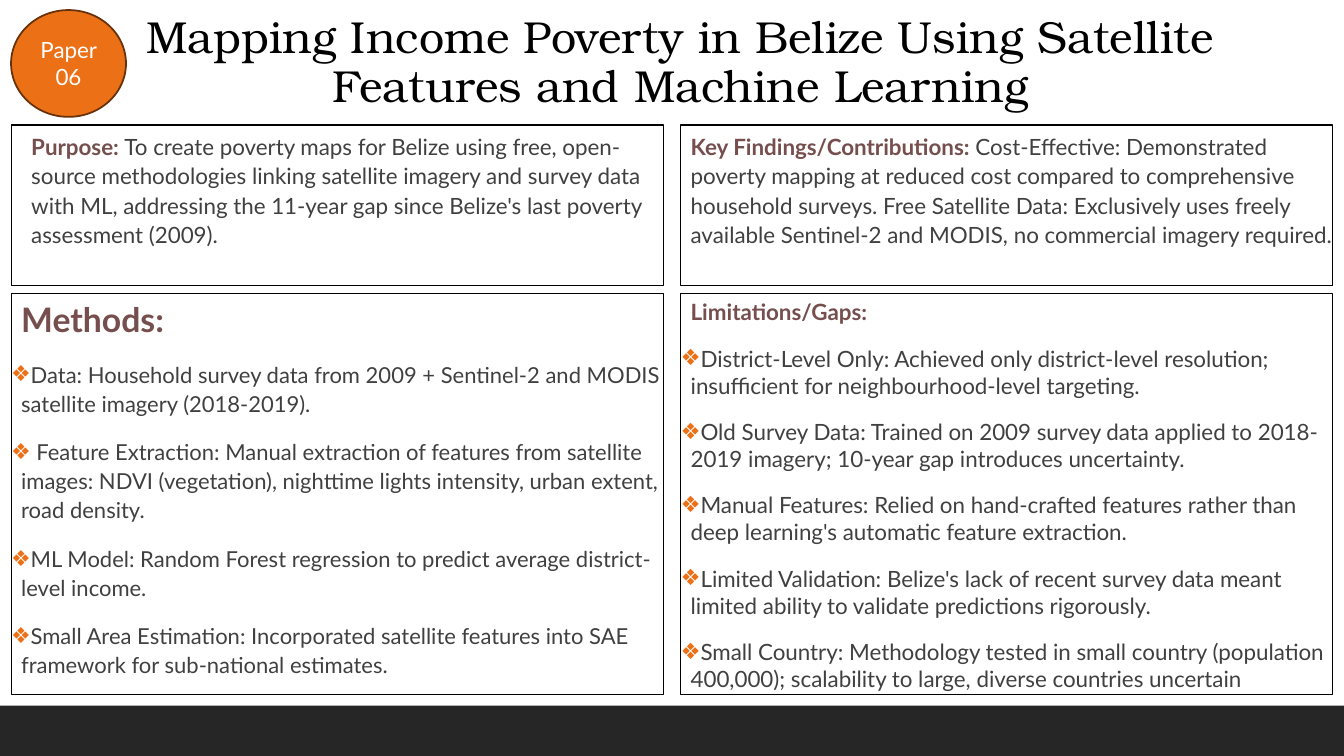
import pptx
import pptx.dml.color
import pptx.enum.shapes
import pptx.enum.text
import pptx.util
from lxml import etree
from pptx.oxml.ns import qn

Inches = pptx.util.Inches
Pt = pptx.util.Pt
RGBColor = pptx.dml.color.RGBColor
MSO_SHAPE = pptx.enum.shapes.MSO_SHAPE
MSO_ANCHOR = pptx.enum.text.MSO_ANCHOR
PP_ALIGN = pptx.enum.text.PP_ALIGN

BLACK = RGBColor(0x00, 0x00, 0x00)
WHITE = RGBColor(0xFF, 0xFF, 0xFF)
ORANGE = RGBColor(0xEC, 0x70, 0x16)
DARK_ORANGE = RGBColor(0x67, 0x31, 0x0A)
BROWN = RGBColor(0x76, 0x4E, 0x4E)
GREY = RGBColor(0x40, 0x40, 0x40)
CHARCOAL = RGBColor(0x26, 0x26, 0x26)

LEFT, RIGHT = 0.11, 6.75
PANEL_WIDTH = 6.47
TOP_ROW = (1.24, 1.59)
BOTTOM_ROW = (2.91, 3.98)

METHODS = [
    "Data: Household survey data from 2009 + Sentinel-2 and MODIS satellite imagery (2018-2019).",
    " Feature Extraction: Manual extraction of features from satellite images: NDVI (vegetation), "
    "nighttime lights intensity, urban extent, road density.",
    "ML Model: Random Forest regression to predict average district-level income.",
    "Small Area Estimation: Incorporated satellite features into SAE framework for sub-national estimates.",
]
LIMITATIONS = [
    "District-Level Only: Achieved only district-level resolution; insufficient for "
    "neighbourhood-level targeting.",
    "Old Survey Data: Trained on 2009 survey data applied to 2018-2019 imagery; "
    "10-year gap introduces uncertainty.",
    "Manual Features: Relied on hand-crafted features rather than deep learning's "
    "automatic feature extraction.",
    "Limited Validation: Belize's lack of recent survey data meant limited ability to "
    "validate predictions rigorously.",
    "Small Country: Methodology tested in small country (population 400,000); "
    "scalability to large, diverse countries uncertain",
]


class PaperSlide:
    """Holds the style and the slide that summarises one paper."""

    title_font = "TeX Gyre Bonum"
    body_font = "Lato"
    body_size = 16

    def __init__(self, presentation):
        comparison_layout = presentation.slide_layouts[4]
        self.slide = presentation.slides.add_slide(comparison_layout)

    def format_font(self, run, size, color, bold=False, name=None):
        run.font.name = name or self.body_font
        run.font.size = Pt(size)
        run.font.bold = bold
        run.font.color.rgb = color

    def place(self, shape, left, top, width, height):
        shape.left, shape.top = Inches(left), Inches(top)
        shape.width, shape.height = Inches(width), Inches(height)

    def title(self, text, *box):
        heading = self.slide.shapes.title
        self.place(heading, *box)
        frame = heading.text_frame
        frame.text = text
        frame.auto_size = pptx.enum.text.MSO_AUTO_SIZE.NONE
        frame.vertical_anchor = MSO_ANCHOR.MIDDLE
        frame.paragraphs[0].alignment = PP_ALIGN.CENTER
        frame.paragraphs[0].line_spacing = 0.9
        self.format_font(frame.paragraphs[0].runs[0], 32, BLACK, name=self.title_font)

    def filled_shape(self, kind, fill, *box):
        shape = self.slide.shapes.add_shape(kind, *(Inches(length) for length in box))
        shape.shadow.inherit = False
        shape.fill.solid()
        shape.fill.fore_color.rgb = fill
        shape.line.fill.background()
        return shape

    def badge(self, text, *box):
        badge = self.filled_shape(MSO_SHAPE.OVAL, ORANGE, *box)
        badge.line.color.rgb = DARK_ORANGE
        badge.line.width = Pt(1.25)
        frame = badge.text_frame
        frame.word_wrap = True
        frame.vertical_anchor = MSO_ANCHOR.MIDDLE
        frame.text = text
        frame.paragraphs[0].alignment = PP_ALIGN.CENTER
        self.format_font(frame.paragraphs[0].runs[0], self.body_size, WHITE)

    def set_bullet(self, paragraph, char=None):
        """Give the paragraph a hanging bullet, or a plain indent without a char."""
        properties = paragraph._p.get_or_add_pPr()
        properties.set("marL", str(Inches(0.1)))
        properties.set("indent", str(Inches(-0.1) if char else 0))
        if char is None:
            etree.SubElement(properties, qn("a:buNone"))
            return
        color = etree.SubElement(properties, qn("a:buClr"))
        etree.SubElement(color, qn("a:srgbClr"), val=str(ORANGE))
        etree.SubElement(properties, qn("a:buChar"), char=char)

    def panel(self, placeholder, left, row, lead, text="", items=(), side_inset=0,
              lead_size=body_size, item_size=body_size, lead_spacing=1.0, item_spacing=1.0):
        """Fill a body placeholder with a bold lead, running text and bullets."""
        panel = self.slide.placeholders[placeholder]
        self.place(panel, left, row[0], PANEL_WIDTH, row[1])
        panel.line.color.rgb = BLACK
        panel.line.width = Pt(0.75)
        frame = panel.text_frame
        frame.word_wrap = True
        frame.auto_size = pptx.enum.text.MSO_AUTO_SIZE.NONE
        frame.vertical_anchor = MSO_ANCHOR.TOP
        frame.margin_left = frame.margin_right = Inches(side_inset)
        frame.margin_top = frame.margin_bottom = Inches(0.05)

        opening = frame.paragraphs[0]
        opening.text = lead
        self.set_bullet(opening)
        opening.alignment = PP_ALIGN.LEFT
        opening.line_spacing = lead_spacing
        opening.space_before, opening.space_after = Pt(0), Pt(2)
        self.format_font(opening.runs[0], lead_size, BROWN, bold=True)
        if text:
            statement = opening.add_run()
            statement.text = text
            self.format_font(statement, self.body_size, GREY)

        for item in items:
            point = frame.add_paragraph()
            point.text = item
            self.set_bullet(point, "❖")
            point.alignment = PP_ALIGN.LEFT
            point.line_spacing = item_spacing
            point.space_before, point.space_after = Pt(12), Pt(2)
            self.format_font(point.runs[0], item_size, GREY)


def main():
    presentation = pptx.Presentation()
    presentation.slide_width = Inches(13.33)
    presentation.slide_height = Inches(7.5)

    paper = PaperSlide(presentation)
    paper.filled_shape(MSO_SHAPE.RECTANGLE, CHARCOAL, 0, 7, 13.33, 0.5)
    paper.title("Mapping Income Poverty in Belize Using Satellite Features and Machine Learning",
                1.25, 0.1, 11, 1.06)
    paper.panel(1, LEFT, TOP_ROW, "Purpose: ",
                "To create poverty maps for Belize using free, open-source methodologies linking "
                "satellite imagery and survey data with ML, addressing the 11-year gap since "
                "Belize's last poverty assessment (2009).",
                side_inset=0.1, lead_spacing=1.1)
    paper.panel(2, LEFT, BOTTOM_ROW, "Methods:", items=METHODS,
                lead_size=24.1, item_size=15.7, item_spacing=1.1)
    paper.panel(3, RIGHT, TOP_ROW, "Key Findings/Contributions: ",
                "Cost-Effective: Demonstrated poverty mapping at reduced cost compared to "
                "comprehensive household surveys. Free Satellite Data: Exclusively uses freely "
                "available Sentinel-2 and MODIS, no commercial imagery required.",
                lead_spacing=1.1)
    paper.panel(4, RIGHT, BOTTOM_ROW, "Limitations/Gaps:", items=LIMITATIONS)
    paper.badge("Paper 06", LEFT, 0.1, 1.14, 1.06)

    presentation.save("out.pptx")


if __name__ == "__main__":
    main()
